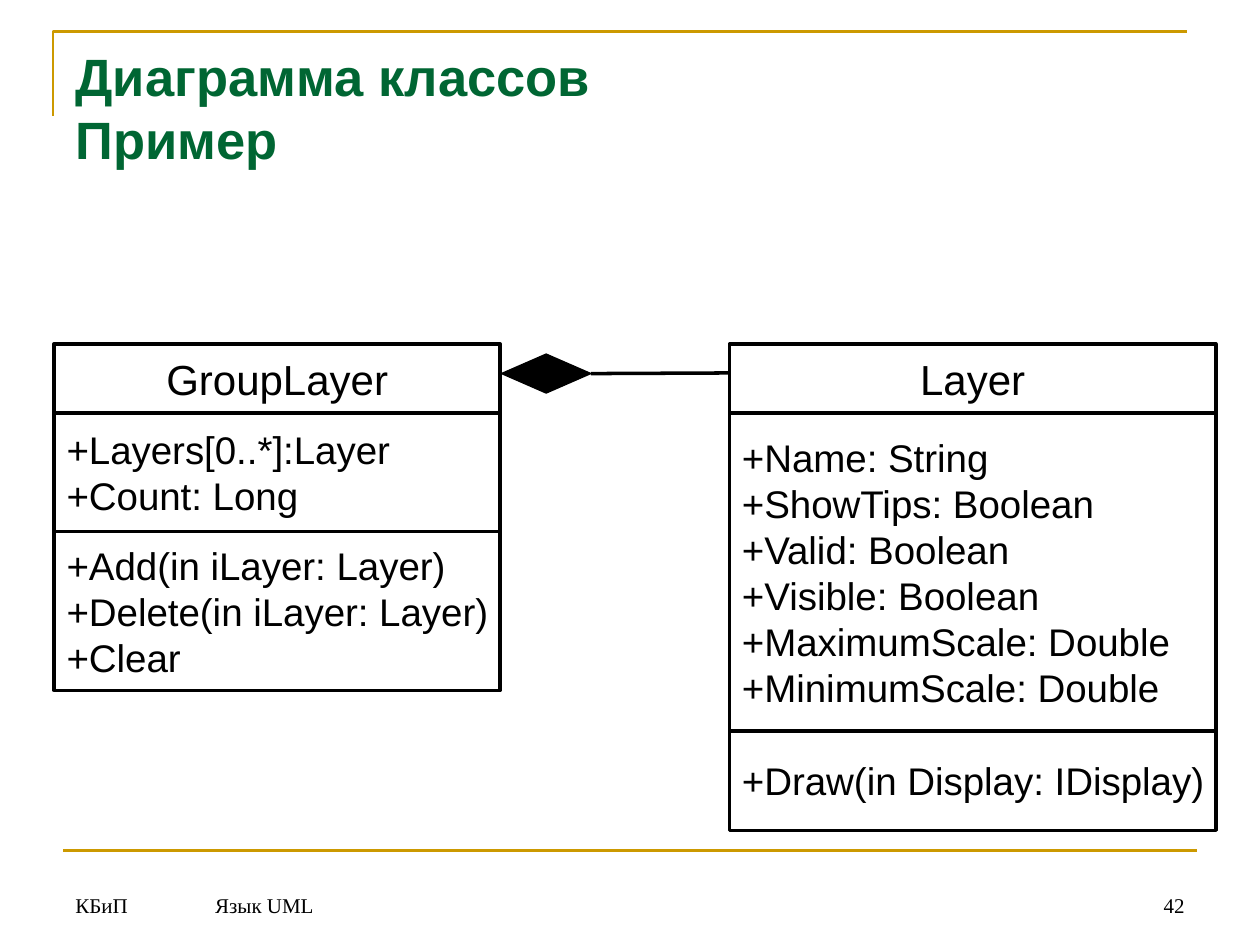
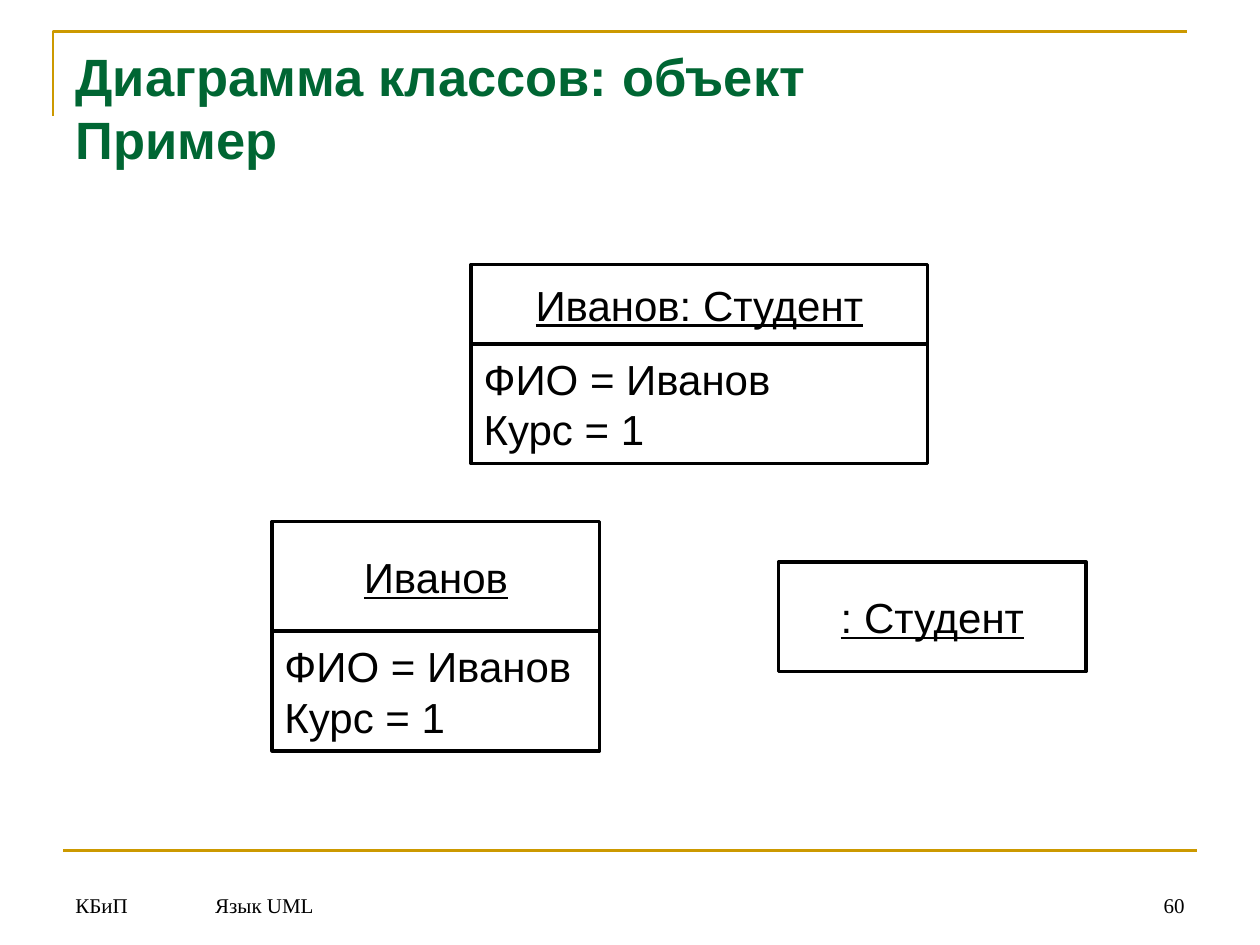
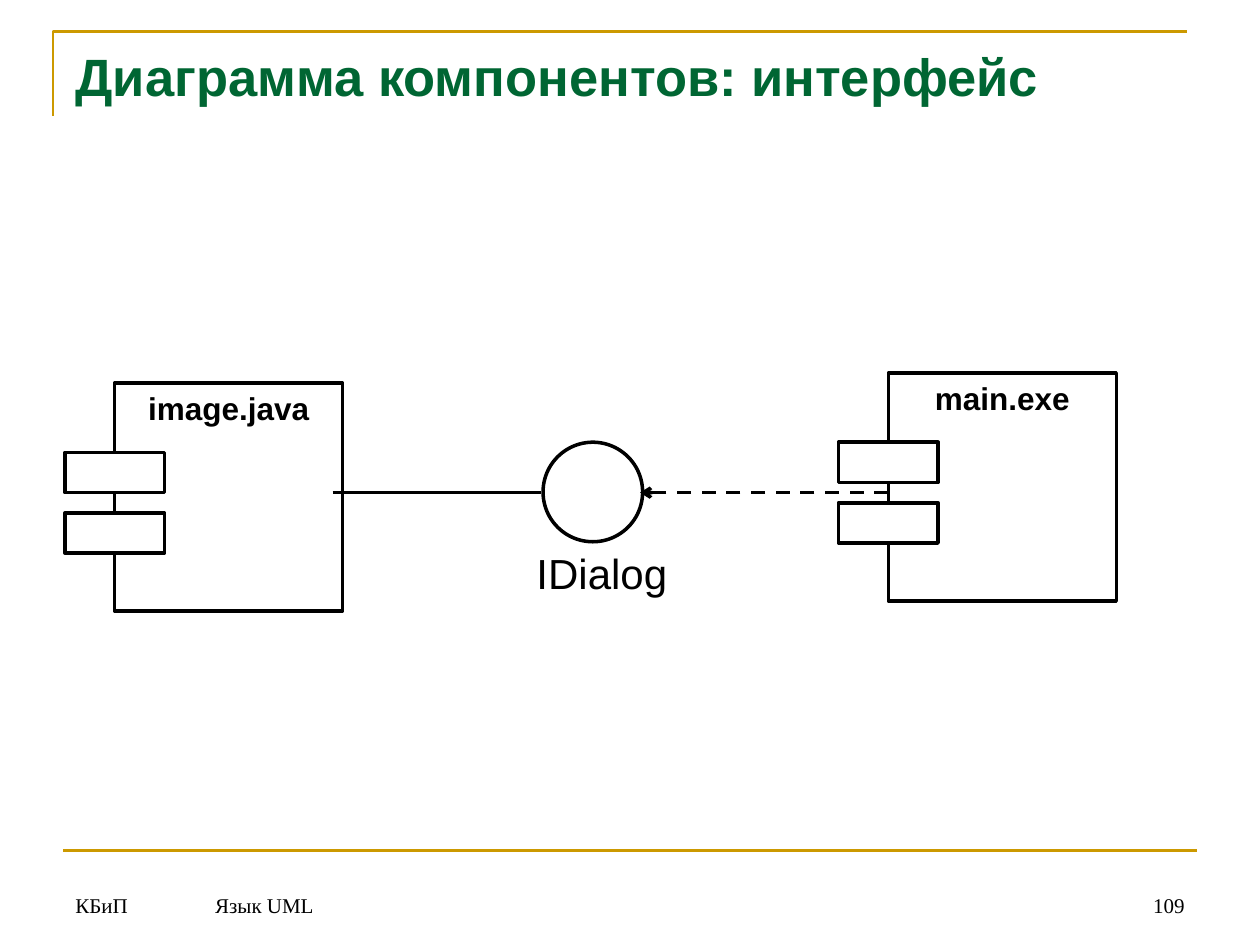
from pptx import Presentation
from pptx.dml.color import RGBColor
from pptx.enum.dml import MSO_LINE
from pptx.enum.shapes import MSO_CONNECTOR, MSO_SHAPE
from pptx.enum.text import MSO_ANCHOR, MSO_AUTO_SIZE, PP_ALIGN
from pptx.oxml.ns import qn
from pptx.util import Inches, Pt
from lxml.etree import SubElement

COLORS = {"gold": "CC9900", "title": "006633", "ink": "000000", "paper": "FFFFFF"}
WIDTH, HEIGHT = 10, 7.5
MARGIN = 0.5
FOOTERS = [("КБиП", MARGIN, 0.96), ("Язык UML", 1.61, 7.24)]
NUMBER_WIDTH = 0.56

CLASS_TITLE = "Диаграмма классов\vПример"
OBJECT_TITLE = "Диаграмма классов: объект\vПример"
INTERFACE_TITLE = "Диаграмма компонентов: интерфейс"

GROUP_LAYER = {
    "name": "GroupLayer", "at": (0.43, 2.73), "width": 3.54, "name_height": 0.55,
    "sections": [
        (0.94, ["+Layers[0..*]:Layer", "+Count: Long"]),
        (1.26, ["+Add(in iLayer: Layer)", "+Delete(in iLayer: Layer)", "+Clear"]),
    ],
}
LAYER = {
    "name": "Layer", "at": (5.79, 2.73), "width": 3.86, "name_height": 0.55,
    "sections": [
        (2.52, ["+Name: String", "+ShowTips: Boolean", "+Valid: Boolean",
                "+Visible: Boolean", "+MaximumScale: Double", "+MinimumScale: Double"]),
        (0.79, ["+Draw(in Display: IDisplay)"]),
    ],
}
STUDENT_VALUES = (0.95, ["ФИО = Иванов", "Курс = 1"])
OBJECTS = [
    {"name": "Иванов: Студент", "at": (3.74, 2.1), "width": 3.62, "name_height": 0.63,
     "sections": [STUDENT_VALUES]},
    {"name": "Иванов", "at": (2.16, 4.14), "width": 2.6, "name_height": 0.87,
     "sections": [STUDENT_VALUES]},
    {"name": ": Студент", "at": (6.18, 4.46), "width": 2.44, "name_height": 0.87,
     "sections": []},
]
COMPONENTS = [("image.java", 0.91, 3.04), ("main.exe", 7.05, 2.96)]
COMPONENT_SIDE = 1.81
TAB_SIZE = (0.79, 0.32)
TAB_OFFSETS = (0.55, 1.03)


def color(name):
    return RGBColor.from_string(COLORS[name])


def style_text(frame, lines, size, align=PP_ALIGN.LEFT, anchor=MSO_ANCHOR.TOP,
               font="Arial", ink="ink", bold=False, underline=False, wrap=False):
    frame.text = "\n".join(lines)
    frame.word_wrap = wrap
    frame.vertical_anchor = anchor
    for paragraph in frame.paragraphs:
        paragraph.alignment = align
        for run in paragraph.runs:
            run.font.name = font
            run.font.size = Pt(size)
            run.font.bold = bold
            run.font.underline = underline
            run.font.color.rgb = color(ink)


def outline(shape, fill=None, ink="ink", weight=2):
    shape.shadow.inherit = False
    if fill:
        shape.fill.solid()
        shape.fill.fore_color.rgb = color(fill)
    else:
        shape.fill.background()
    shape.line.color.rgb = color(ink)
    shape.line.width = Pt(weight)
    return shape


def add_outlined(slide, kind, left, top, width, height, **look):
    box = map(Inches, (left, top, width, height))
    return outline(slide.shapes.add_shape(kind, *box), **look)


def add_line(slide, start, end, ink="ink", weight=2):
    line = slide.shapes.add_connector(MSO_CONNECTOR.STRAIGHT, *map(Inches, start + end))
    line.line.color.rgb = color(ink)
    line.line.width = Pt(weight)
    SubElement(line._element.spPr, qn("a:effectLst"))
    return line


def add_label(slide, words, left, top, width, height, size, **look):
    label = slide.shapes.add_textbox(*map(Inches, (left, top, width, height)))
    style_text(label.text_frame, [words], size, **look)
    return label


def decorate_layout(layout, slide):
    builder = slide.shapes.build_freeform(Inches(0.42), Inches(0.92))
    builder.add_line_segments([(Inches(0.42), Inches(0.25)),
                               (Inches(9.42), Inches(0.25))], close=False)
    corner = outline(builder.convert_to_shape(), ink="gold", weight=1.5)
    base = add_line(slide, (MARGIN, HEIGHT * 0.9), (WIDTH - MARGIN, HEIGHT * 0.9),
                    ink="gold", weight=1.5)
    for part in (corner, base):
        layout.shapes._spTree.append(part._element)


def add_page(deck, title, number):
    layout = deck.slide_layouts[5]
    slide = deck.slides.add_slide(layout)
    if len(deck.slides) == 1:
        decorate_layout(layout, slide)
    heading = slide.shapes.title
    heading.left, heading.top = Inches(MARGIN), Inches(0.3)
    heading.width, heading.height = Inches(WIDTH - 2 * MARGIN), Inches(1.25)
    style_text(heading.text_frame, [title], 30, ink="title", bold=True, wrap=True)
    heading.text_frame.auto_size = MSO_AUTO_SIZE.NONE
    cells = [(*footer, PP_ALIGN.LEFT) for footer in FOOTERS]
    cells.append((str(number), WIDTH - MARGIN - NUMBER_WIDTH, NUMBER_WIDTH, PP_ALIGN.RIGHT))
    for words, left, width, align in cells:
        add_label(slide, words, left, 6.83, width, 0.5, 12, align=align,
                  anchor=MSO_ANCHOR.BOTTOM, font="Times New Roman", wrap=True)
    return slide


def add_class(slide, entity, section_size, underline=False):
    left, top = entity["at"]
    rows = [(entity["name_height"], [entity["name"]], 24, PP_ALIGN.CENTER, underline)]
    rows += [(height, lines, section_size, PP_ALIGN.LEFT, False)
             for height, lines in entity["sections"]]
    for height, lines, size, align, underlined in rows:
        box = add_outlined(slide, MSO_SHAPE.RECTANGLE, left, top, entity["width"], height)
        style_text(box.text_frame, lines, size, align, MSO_ANCHOR.MIDDLE,
                   underline=underlined)
        top += height


def add_component(slide, name, left, top):
    body = add_outlined(slide, MSO_SHAPE.RECTANGLE, left, top, COMPONENT_SIDE, COMPONENT_SIDE)
    style_text(body.text_frame, [name], 18, PP_ALIGN.CENTER, bold=True)
    tab_width, tab_height = TAB_SIZE
    for offset in TAB_OFFSETS:
        add_outlined(slide, MSO_SHAPE.RECTANGLE, left - tab_width / 2, top + offset,
                     tab_width, tab_height, fill="paper")


def class_page(deck):
    slide = add_page(deck, CLASS_TITLE, 42)
    for entity in (LAYER, GROUP_LAYER):
        add_class(slide, entity, 22)
    diamond = add_outlined(slide, MSO_SHAPE.DIAMOND, 3.98, 2.81, 0.71, 0.31,
                           fill="ink", weight=0.75)
    composition = add_line(slide, (4.69, 2.96), (LAYER["at"][0], 2.96))
    composition.begin_connect(diamond, 3)


def object_page(deck):
    slide = add_page(deck, OBJECT_TITLE, 60)
    for entity in OBJECTS:
        add_class(slide, entity, 24, underline=True)


def interface_page(deck):
    slide = add_page(deck, INTERFACE_TITLE, 109)
    for component in COMPONENTS:
        add_component(slide, *component)
    add_outlined(slide, MSO_SHAPE.OVAL, 4.31, 3.51, 0.79, 0.79)
    label = add_label(slide, "IDialog", 4.16, 4.3, 1.24, 0.5, 24)
    label.text_frame.auto_size = MSO_AUTO_SIZE.SHAPE_TO_FIT_TEXT
    add_line(slide, (2.64, 3.91), (4.29, 3.91))
    dependency = add_line(slide, (7.05, 3.91), (5.08, 3.91))
    dependency.line.dash_style = MSO_LINE.DASH
    SubElement(dependency.line._get_or_add_ln(), qn("a:tailEnd"), type="arrow")


def main():
    deck = Presentation()
    deck.slide_width, deck.slide_height = Inches(WIDTH), Inches(HEIGHT)
    for build_page in (class_page, object_page, interface_page):
        build_page(deck)
    deck.save("out.pptx")


if __name__ == "__main__":
    main()
